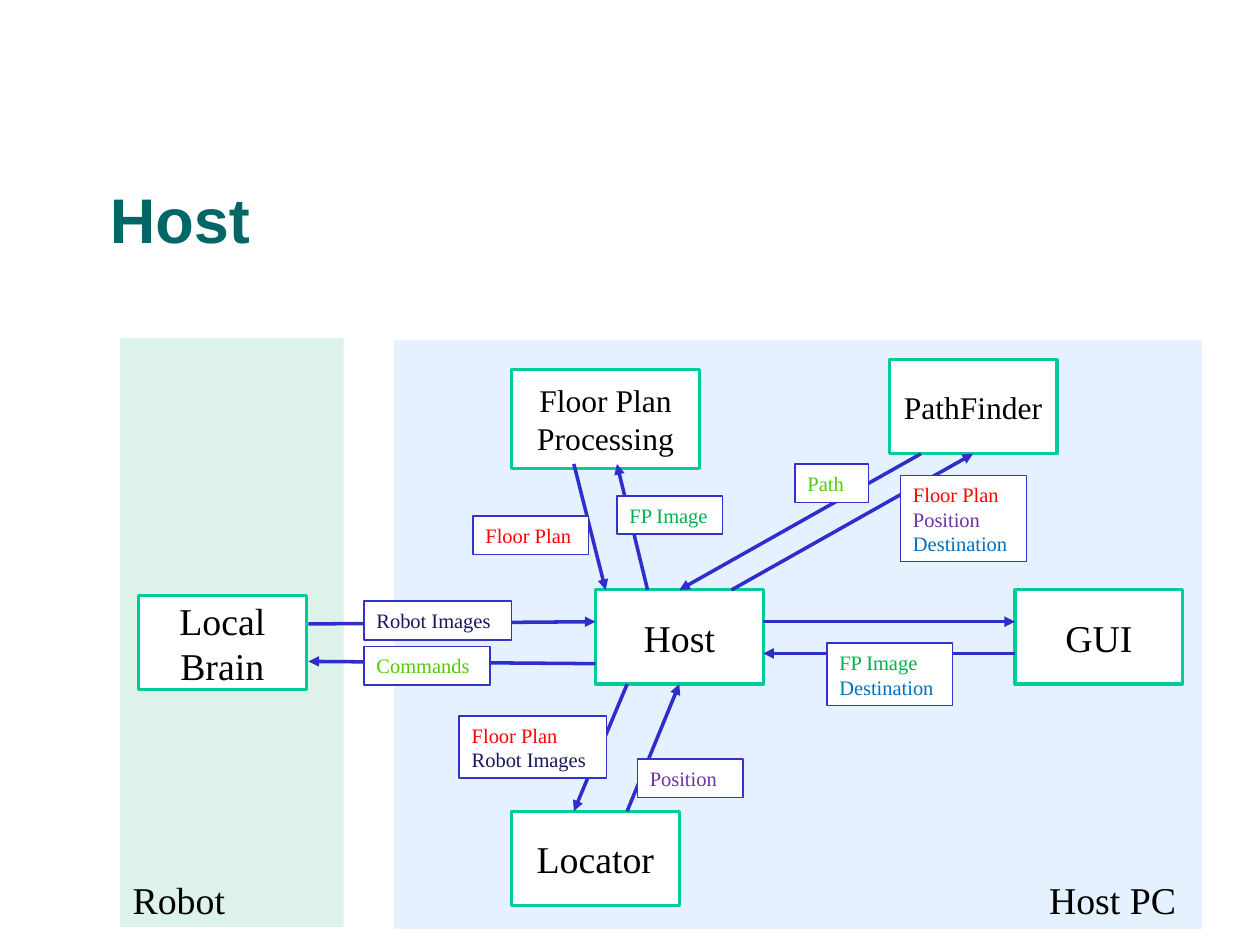
from pptx import Presentation
from pptx.dml.color import RGBColor as Rgb
from pptx.enum.shapes import MSO_CONNECTOR as Connector, MSO_SHAPE as Shape
from pptx.enum.text import MSO_ANCHOR as Anchor, PP_ALIGN as Align
from pptx.oxml.ns import qn
from pptx.util import Inches, Pt
from lxml.etree import SubElement

COLORS = {
    "robot area": "DDF3EA", "host area": "E5F1FF", "white": "FFFFFF",
    "box edge": "00CC99", "label edge": "3333CC", "arrow": "2E2ECB",
    "text": "000000", "title": "006666",
    # each kind of data keeps its own colour
    "Floor Plan": "FF0000", "Position": "7030A0", "Destination": "0070C0",
    "Path": "52CA00", "Commands": "52CA00", "FP Image": "00B050",
    "Robot Images": "17175C",
}
TOP, BOTTOM = 0, 2


def rgb(name):
    return Rgb.from_string(COLORS[name])


class Diagram:
    serif = "Times New Roman"
    margins = {"margin_left": 0.11, "margin_right": 0.11,
               "margin_top": 0.06, "margin_bottom": 0.06}

    def __init__(self, page):
        self.page = page

    def put_text(self, shape, lines, size, color="text", font=serif, bold=False,
                 align=Align.LEFT, anchor=Anchor.TOP, margins=margins):
        frame = shape.text_frame
        frame_format = {"word_wrap": True, "vertical_anchor": anchor}
        frame_format |= {side: Inches(gap) for side, gap in margins.items()}
        for name, value in frame_format.items():
            setattr(frame, name, value)
        for number, line in enumerate(lines):
            para = frame.add_paragraph() if number else frame.paragraphs[0]
            para.alignment = align
            span = para.add_run()
            span.text = line
            for name, value in {"name": font, "size": Pt(size), "bold": bold}.items():
                setattr(span.font, name, value)
            span.font.color.rgb = rgb(color or line)

    def rectangle(self, place, fill, edge=None, width=1):
        shape = self.page.shapes.add_shape(Shape.RECTANGLE, *map(Inches, place))
        shape.shadow.inherit = False
        shape.fill.solid()
        shape.fill.fore_color.rgb = rgb(fill)
        if edge:
            shape.line.color.rgb = rgb(edge)
            shape.line.width = Pt(width)
        else:
            shape.line.fill.background()
        return shape

    def box(self, text, left, top, size=24, width=1.48, height=0.83):
        box = self.rectangle((left, top, width, height), "white", "box edge", 2)
        self.put_text(box, [text], size, align=Align.CENTER, anchor=Anchor.MIDDLE)
        return box

    def label(self, left, top, width, *lines):
        height = 0.13 + 0.21 * len(lines)
        label = self.rectangle((left, top, width, height), "white", "label edge")
        self.put_text(label, lines, 13, color=None)

    def text(self, text, place, size, **style):
        box = self.page.shapes.add_textbox(*map(Inches, place))
        self.put_text(box, [text], size, **style)

    def arrow(self, start, end, target=None, side=None):
        line = self.page.shapes.add_connector(
            Connector.STRAIGHT, *map(Inches, start + end))
        line.line.color.rgb = rgb("arrow")
        line.line.width = Pt(2.25)
        properties = line._element.spPr
        SubElement(properties.find(qn("a:ln")), qn("a:tailEnd"), type="triangle")
        SubElement(properties, qn("a:effectLst"))
        if target is not None:
            line.end_connect(target, side)


def main():
    deck = Presentation()
    deck.slide_width, deck.slide_height = Inches(11.11), Inches(8.33)
    diagram = Diagram(deck.slides.add_slide(deck.slide_layouts[6]))

    # Areas
    diagram.rectangle((1.06, 2.98, 1.97, 5.19), "robot area")
    diagram.rectangle((3.47, 3, 7.13, 5.19), "host area")

    # Modules
    diagram.box("GUI", 8.95, 5.2)
    diagram.box("Local Brain", 1.22, 5.25)
    diagram.box("Floor Plan Processing", 4.51, 3.26, 20, 1.66, 0.87)
    diagram.box("Locator", 4.51, 7.15)
    host = diagram.box("Host", 5.25, 5.2)
    path_finder = diagram.box("PathFinder", 7.84, 3.17, 20)

    # Data flows
    for flow in [
        ((5.71, 5.2), (5.44, 4.09)),
        ((5.06, 4.09), (5.34, 5.2)),
        ((5.53, 7.15), (5.99, 6.03), host, BOTTOM),
        ((5.53, 6.03), (5.06, 7.15)),
        ((6.45, 5.2), (8.58, 4), path_finder, BOTTOM),
        ((8.12, 4), (5.99, 5.2), host, TOP),
        ((6.73, 5.48), (8.95, 5.48)),
        ((8.95, 5.76), (6.73, 5.76)),
        ((2.72, 5.5), (5.25, 5.48)),
        ((5.25, 5.85), (2.72, 5.83)),
    ]:
        diagram.arrow(*flow)

    # Flow labels
    for label in [
        (7.94, 4.19, 1.11, "Floor Plan", "Position", "Destination"),
        (7.01, 4.09, 0.65, "Path"),
        (5.44, 4.37, 0.93, "FP Image"),
        (4.17, 4.55, 1.02, "Floor Plan"),
        (7.29, 5.67, 1.11, "FP Image", "Destination"),
        (5.62, 6.69, 0.93, "Position"),
        (4.05, 6.31, 1.3, "Floor Plan", "Robot Images"),
        (3.21, 5.3, 1.3, "Robot Images"),
        (3.21, 5.7, 1.11, "Commands"),
    ]:
        diagram.label(*label)

    # Area names and title
    diagram.text("Host PC", (9.14, 7.67, 1.46, 0.52), 24)
    diagram.text("Robot", (1.06, 7.67, 1.2, 0.52), 24)
    diagram.text("Host", (0.97, 0.98, 9.53, 1.28), 40, color="title", font="Arial",
                 bold=True, anchor=Anchor.BOTTOM,
                 margins=dict.fromkeys(Diagram.margins, 0))

    deck.save("out.pptx")


if __name__ == "__main__":
    main()
